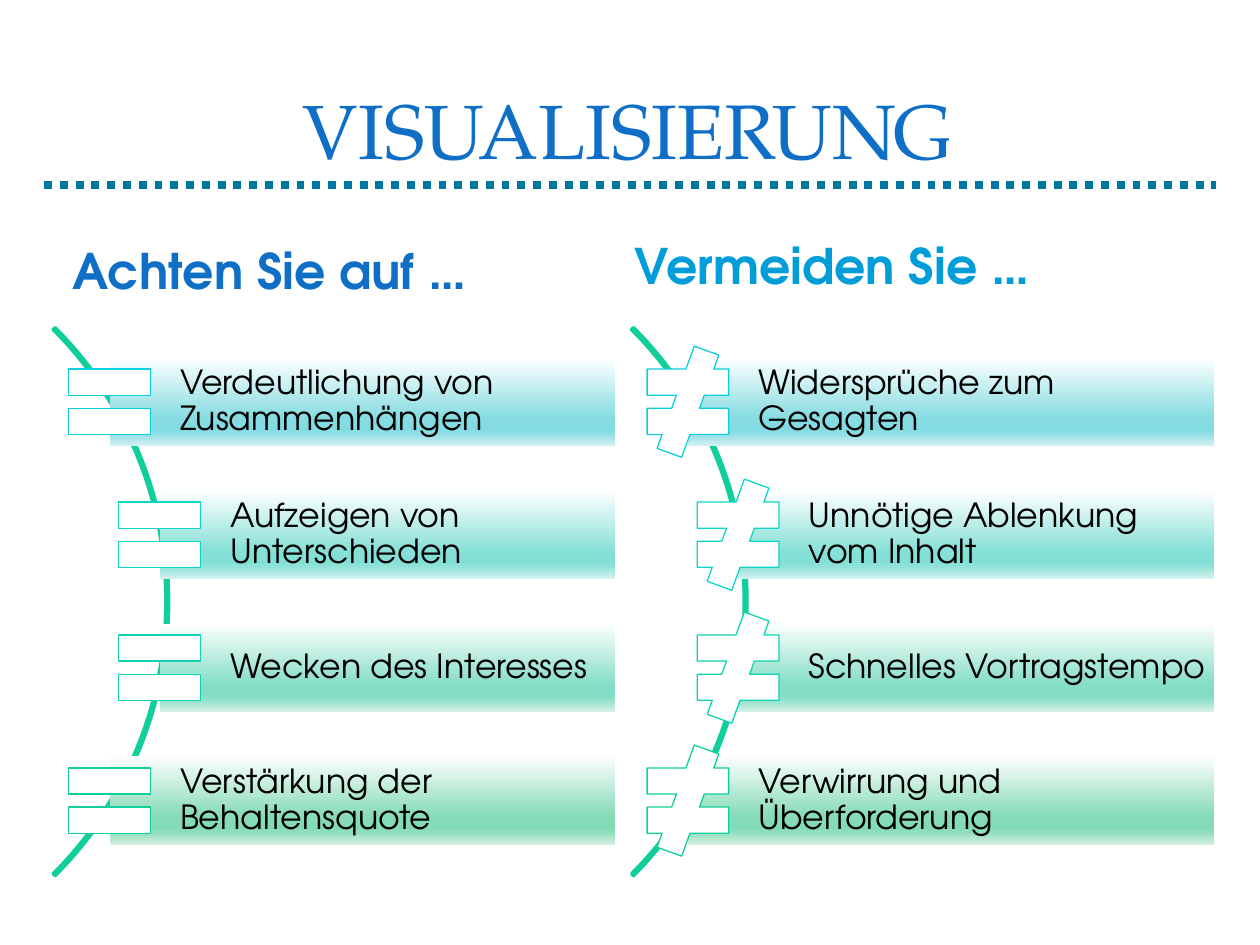
from dataclasses import dataclass

from lxml import etree
from pptx import Presentation
from pptx.dml.color import RGBColor
from pptx.enum.dml import MSO_LINE
from pptx.enum.shapes import MSO_CONNECTOR, MSO_SHAPE
from pptx.enum.text import MSO_ANCHOR, PP_ALIGN
from pptx.oxml.ns import qn
from pptx.util import Cm, Pt

ARC, BAR = MSO_SHAPE.BLOCK_ARC, MSO_SHAPE.RECTANGLE
EQUAL, NOT_EQUAL = MSO_SHAPE.MATH_EQUAL, MSO_SHAPE.MATH_NOT_EQUAL
STRAIGHT, DOTTED = MSO_CONNECTOR.STRAIGHT, MSO_LINE.ROUND_DOT
LEFT, CENTER = PP_ALIGN.LEFT, PP_ALIGN.CENTER
TOP, MIDDLE = MSO_ANCHOR.TOP, MSO_ANCHOR.MIDDLE


@dataclass(frozen=True)
class Theme:
    title_font: str = "TeX Gyre Pagella"
    body_font: str = "TeX Gyre Adventor"
    title_size: int = 44
    heading_size: int = 28
    item_size: int = 19
    blue: str = "0F6FC6"
    light_blue: str = "009DD9"
    rule: str = "0076A3"
    arc: str = "10CF9B"
    white: str = "FFFFFF"
    black: str = "000000"
    icon_lines: tuple = ("0BD0D9", "0DD6C9", "0ED2B2", "10CF9B")
    gradient_positions: tuple = (0, 68, 81, 86, 100)
    bar_gradients: tuple = (
        ("FEFFFF", "87DCE2", "82DBE2", "90DEE4", "D3F0F3"),
        ("FEFFFF", "87E0D7", "82DFD6", "90E2D9", "D3F2EE"),
        ("FEFFFE", "87DEC7", "82DDC5", "91E0CA", "D4F1E8"),
        ("FEFFFE", "87DBB8", "82DAB6", "91DDBD", "D4F0E2"),
    )


THEME = Theme()

# All lengths below are centimetres.
ARC_TOP, ARC_SIZE = 4.32, 15.62
BAR_TOP, BAR_PITCH, BAR_HEIGHT = 7.21, 2.68, 1.78
BAR_OFFSETS = (14.43, 15.44, 15.44, 14.43)  # from the left of the arc's circle
ICON_SIZE = 2.24

COLUMNS = (
    {
        "heading": "Achten Sie auf …",
        "heading_box": (0.89, 4.72, 11.66, 1.6),
        "heading_color": THEME.blue,
        "arc_left": -12.22,
        "right": 12.4,
        "icon": EQUAL,
        "items": (
            "Verdeutlichung von Zusammenhängen",
            "Aufzeigen von Unterschieden",
            "Wecken des Interesses",
            "Verstärkung der Behaltensquote",
        ),
    },
    {
        "heading": "Vermeiden Sie …",
        "heading_box": (12.22, 4.62, 12.07, 1.8),
        "heading_color": THEME.light_blue,
        "arc_left": -0.56,
        "right": 24.47,
        "icon": NOT_EQUAL,
        "items": (
            "Widersprüche zum Gesagten",
            "Unnötige Ablenkung vom Inhalt",
            "Schnelles Vortragstempo",
            "Verwirrung und Überforderung",
        ),
    },
)


def set_attributes(target, values):
    for name, value in values.items():
        setattr(target, name, value)


def write_text(shape, text, font, size, color, bold=False, inset=0.25,
               anchor=MIDDLE, **paragraph_format):
    frame = shape.text_frame
    set_attributes(frame, {
        "word_wrap": True, "vertical_anchor": anchor, "margin_left": Cm(inset),
    })
    paragraph = frame.paragraphs[0]
    set_attributes(paragraph, paragraph_format)
    run = paragraph.add_run()
    run.text = text
    set_attributes(run.font, {"name": font, "size": Pt(size), "bold": bold})
    run.font.color.rgb = RGBColor.from_string(color)


def add_shape(shapes, kind, box, line=None, width=0.75):
    shape = shapes.add_shape(kind, *map(Cm, box))
    shape.shadow.inherit = False
    if line:
        shape.line.color.rgb = RGBColor.from_string(line)
        shape.line.width = Pt(width)
    else:
        shape.line.fill.background()
    return shape


def fill_gradient(shape, colors):
    """Fill from top to bottom with one stop for each colour."""
    shape.fill.gradient()
    shape.fill.gradient_angle = 270
    stops = shape.element.spPr.find(".//" + qn("a:gsLst"))
    for stop in list(stops):
        stops.remove(stop)
    for position, color in zip(THEME.gradient_positions, colors):
        stop = etree.SubElement(stops, qn("a:gs"), pos=str(position * 1000))
        etree.SubElement(stop, qn("a:srgbClr"), val=color)


def add_title(slide):
    box = slide.shapes.add_textbox(Cm(1.19), Cm(1.14), Cm(22.94), Cm(2.9))
    write_text(box, "VISUALISIERUNG", THEME.title_font, THEME.title_size,
               THEME.blue, alignment=CENTER)


def add_rule(slide):
    rule = slide.shapes.add_connector(
        STRAIGHT, Cm(0.89), Cm(3.73), Cm(24.51), Cm(3.73))
    rule.line.color.rgb = RGBColor.from_string(THEME.rule)
    set_attributes(rule.line, {"width": Pt(4.5), "dash_style": DOTTED})
    etree.SubElement(rule.element.spPr, qn("a:effectLst"))


def add_heading(slide, column):
    box = slide.shapes.add_textbox(*map(Cm, column["heading_box"]))
    write_text(box, column["heading"], THEME.body_font, THEME.heading_size,
               column["heading_color"], bold=True, inset=0.58, anchor=TOP,
               alignment=LEFT, space_before=Pt(5.6))


def add_arc(shapes, left):
    arc = add_shape(shapes, ARC, (left, ARC_TOP, ARC_SIZE, ARC_SIZE), THEME.arc, 2)
    arc.fill.background()
    for index, value in enumerate((189, 27, 0.0035)):
        arc.adjustments[index] = value


def add_item(shapes, column, row):
    """Add a gradient bar with its text and the icon centred on its left edge."""
    left = column["arc_left"] + BAR_OFFSETS[row]
    top = BAR_TOP + row * BAR_PITCH
    bar = add_shape(shapes, BAR, (left, top, column["right"] - left, BAR_HEIGHT))
    fill_gradient(bar, THEME.bar_gradients[row])
    bar.text_frame.margin_right = Cm(0.12)
    write_text(bar, column["items"][row], THEME.body_font, THEME.item_size,
               THEME.black, inset=1.42, alignment=LEFT, line_spacing=0.9)
    icon_box = (left - ICON_SIZE / 2, top + (BAR_HEIGHT - ICON_SIZE) / 2,
                ICON_SIZE, ICON_SIZE)
    icon = add_shape(shapes, column["icon"], icon_box, THEME.icon_lines[row])
    icon.fill.solid()
    icon.fill.fore_color.rgb = RGBColor.from_string(THEME.white)


def add_column(slide, column):
    add_heading(slide, column)
    shapes = slide.shapes.add_group_shape().shapes
    add_arc(shapes, column["arc_left"])
    for row in range(len(column["items"])):
        add_item(shapes, column, row)


def main():
    presentation = Presentation()
    set_attributes(presentation, {"slide_width": Cm(25.4), "slide_height": Cm(19.05)})
    slide = presentation.slides.add_slide(presentation.slide_layouts[6])
    add_rule(slide)
    add_title(slide)
    for column in COLUMNS:
        add_column(slide, column)
    presentation.save("out.pptx")


if __name__ == "__main__":
    main()
